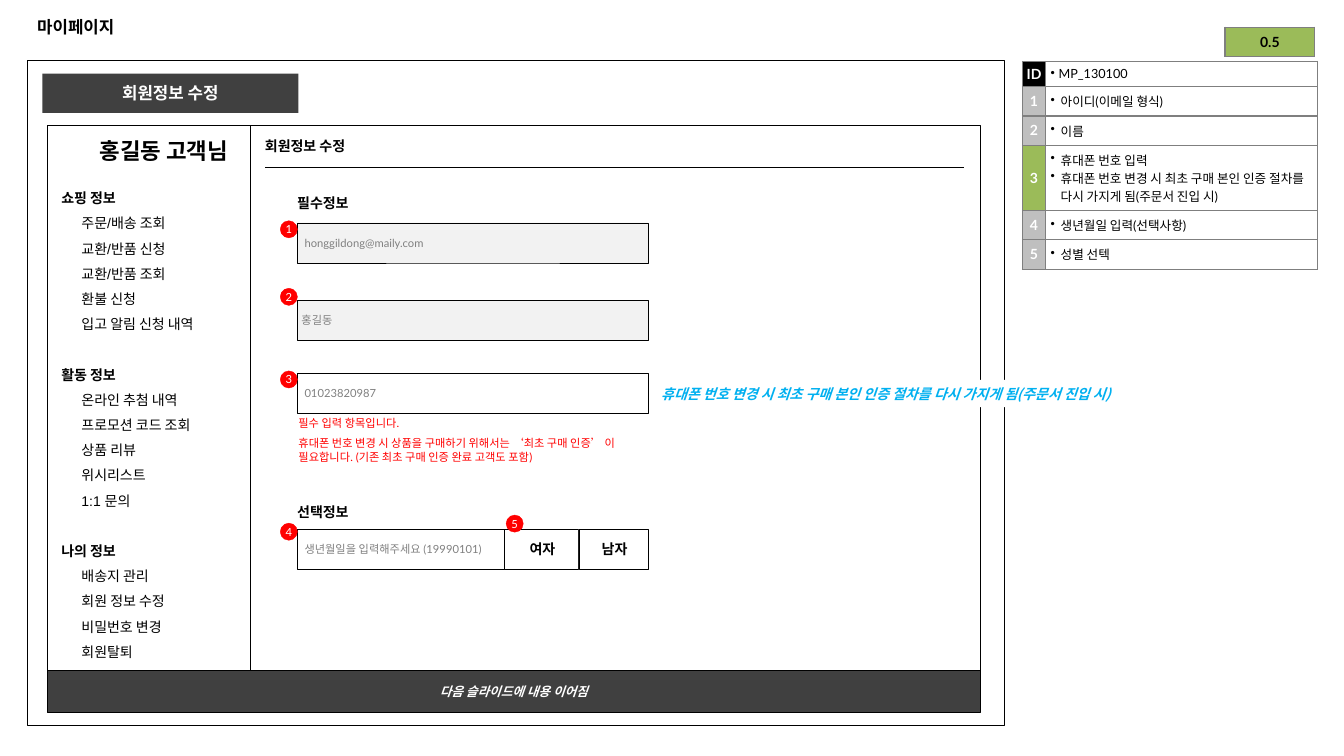
import dataclasses

import lxml.etree
import pptx
import pptx.dml.color
import pptx.enum.shapes
import pptx.enum.text
import pptx.oxml.ns
import pptx.util

SHAPE = pptx.enum.shapes.MSO_SHAPE
ANCHOR = pptx.enum.text.MSO_ANCHOR
ALIGN = pptx.enum.text.PP_ALIGN
qn = pptx.oxml.ns.qn


@dataclasses.dataclass(frozen=True)
class Theme:
    black: str = "000000"
    white: str = "FFFFFF"
    dark: str = "404040"
    border: str = "7F7F7F"
    hint: str = "808080"
    number: str = "BFBFBF"
    locked: str = "F2F2F2"
    red: str = "FF0000"
    green: str = "9BBB59"
    blue: str = "00B0F0"
    sans: str = "Arial"
    latin: str = "Lato"
    korean: str = "Noto Sans CJK KR"
    greeting: float = 16
    title: float = 12
    body: float = 10
    note: float = 9
    small: float = 8
    leading: float = 18
    hairline: float = 0.25
    rule: float = 0.75
    grid: float = 1


THEME = Theme()
SIDES = ("margin_left", "margin_top", "margin_right", "margin_bottom")


def px(length):
    return pptx.util.Emu(length * 9144)


def rgb(value):
    return pptx.dml.color.RGBColor.from_string(value)


def apply(target, formats):
    for name, value in formats.items():
        setattr(target, name, value)


def write(paragraph, text, size, color=THEME.black, font=THEME.latin, bold=False,
          italic=False, **layout):
    apply(paragraph, layout)
    run = paragraph.add_run()
    run.text = text
    run.font.color.rgb = rgb(color)
    apply(run.font, dict(size=pptx.util.Pt(size), name=font, bold=bold, italic=italic))
    east_asian = lxml.etree.SubElement(run._r.get_or_add_rPr(), qn("a:ea"))
    east_asian.set("typeface", THEME.korean)


def set_frame(frame, insets=(10, 5, 10, 5), anchor=ANCHOR.MIDDLE, wrap=True):
    apply(frame, dict(zip(SIDES, map(px, insets))))
    apply(frame, dict(vertical_anchor=anchor, word_wrap=wrap))


def add_label(slide, box, text, size, anchor=ANCHOR.TOP, insets=(10, 5, 10, 5),
              wrap=True, **style):
    label = slide.shapes.add_textbox(*map(px, box))
    set_frame(label.text_frame, insets, anchor, wrap)
    write(label.text_frame.paragraphs[0], text, size, **style)


def add_block(slide, box, fill=None, line=None, weight=THEME.hairline, kind=SHAPE.RECTANGLE,
              text="", insets=(4, 4, 4, 4), size=THEME.small, **style):
    block = slide.shapes.add_shape(kind, *map(px, box))
    block.shadow.inherit = False
    for area, color in ((block.fill, fill), (block.line.fill, line)):
        if color:
            area.solid()
            area.fore_color.rgb = rgb(color)
        else:
            area.background()
    if line:
        block.line.width = pptx.util.Pt(weight)
    if text:
        set_frame(block.text_frame, insets)
        write(block.text_frame.paragraphs[0], text, size, **{"alignment": ALIGN.LEFT, **style})


def add_grid(slide, box, columns, rows):
    grid = slide.shapes.add_table(len(rows), len(columns), *map(px, box)).table
    apply(grid, dict(first_row=False, horz_banding=False))
    for tracks, lengths, side in ((grid.columns, columns, "width"), (grid.rows, rows, "height")):
        for track, length in zip(tracks, lengths):
            setattr(track, side, px(length))
    return grid


def set_cell(cell, fill, inset):
    cell.fill.solid()
    cell.fill.fore_color.rgb = rgb(fill)
    apply(cell, dict.fromkeys(SIDES, px(inset)))
    cell.vertical_anchor = ANCHOR.MIDDLE
    properties = cell._tc.get_or_add_tcPr()
    for position, edge in enumerate(("lnL", "lnR", "lnT", "lnB")):
        border = lxml.etree.Element(qn("a:" + edge), w=str(pptx.util.Pt(THEME.grid)))
        solid = lxml.etree.SubElement(border, qn("a:solidFill"))
        lxml.etree.SubElement(solid, qn("a:srgbClr"), val=THEME.border)
        properties.insert(position, border)


def add_heading_cell(cell, text, fill, color):
    set_cell(cell, fill, 0)
    write(cell.text_frame.paragraphs[0], text, THEME.body, color, bold=True,
          alignment=ALIGN.CENTER)


def add_bullet(paragraph, text, hang):
    properties = paragraph._p.get_or_add_pPr()
    properties.set("marL", str(px(hang)))
    properties.set("indent", str(px(-hang)))
    lxml.etree.SubElement(properties, qn("a:buChar"), char="•")
    write(paragraph, text, THEME.note)


def add_version(slide, box):
    grid = add_grid(slide, box, [box[2]], [box[3]])
    add_heading_cell(grid.cell(0, 0), "0.5", THEME.green, THEME.black)


def add_descriptions(slide, box):
    rows = [
        ("ID", THEME.black, 25, 8, ["MP_130100"]),
        ("1", THEME.number, 29, 10, ["아이디(이메일 형식)"]),
        ("2", THEME.number, 29, 10, ["이름"]),
        ("3", THEME.green, 65, 10, ["휴대폰 번호 입력", PHONE_NOTICE]),
        ("4", THEME.number, 29, 10, ["생년월일 입력(선택사항)"]),
        ("5", THEME.number, 29, 10, ["성별 선텍"]),
    ]
    grid = add_grid(slide, box, [23, box[2] - 23], [row[2] for row in rows])
    for index, (number, fill, _, hang, details) in enumerate(rows):
        add_heading_cell(grid.cell(index, 0), number, fill, THEME.white)
        description = grid.cell(index, 1)
        set_cell(description, THEME.white, 5)
        for order, detail in enumerate(details):
            frame = description.text_frame
            add_bullet(frame.add_paragraph() if order else frame.paragraphs[0], detail, hang)


def add_sidebar(slide, box):
    x, y, w, h = box
    add_block(slide, box, THEME.white, THEME.black)
    leading = pptx.util.Pt(THEME.leading)
    add_label(slide, (x + 42, y + 9, 172, 33), "홍길동 고객님", THEME.greeting,
              font=THEME.sans, bold=True, line_spacing=leading)
    menu = slide.shapes.add_textbox(*map(px, (x + 4, y + 51, w - 5, 473)))
    set_frame(menu.text_frame, anchor=ANCHOR.TOP)
    groups = {
        "쇼핑 정보": ["주문/배송 조회", "교환/반품 신청", "교환/반품 조회", "환불 신청",
                  "입고 알림 신청 내역"],
        "활동 정보": ["온라인 추첨 내역", "프로모션 코드 조회", "상품 리뷰", "위시리스트",
                  "1:1 문의"],
        "나의 정보": ["배송지 관리", "회원 정보 수정", "비밀번호 변경", "회원탈퇴"],
    }
    for order, (group, entries) in enumerate(groups.items()):
        heading = menu.text_frame.add_paragraph() if order else menu.text_frame.paragraphs[0]
        if order:
            heading.space_before = leading
        write(heading, group, THEME.body, font=THEME.sans, bold=True, line_spacing=leading)
        for entry in entries:
            item = menu.text_frame.add_paragraph()
            item._p.get_or_add_pPr().set("marL", str(px(20)))
            write(item, entry, THEME.body, font=THEME.sans, line_spacing=leading)


def add_form(slide, box):
    x, y, w, h = box
    add_block(slide, box, THEME.white, THEME.black)
    add_label(slide, (x + 5, y + 4, 197, 33), "회원정보 수정", THEME.body, ANCHOR.MIDDLE,
              font=THEME.sans, bold=True)
    divider = slide.shapes.add_connector(
        pptx.enum.shapes.MSO_CONNECTOR.STRAIGHT,
        *map(px, (x + 15, y + 42, x + w - 16, y + 42)))
    divider.line.color.rgb = rgb(THEME.black)
    divider.line.width = pptx.util.Pt(THEME.rule)
    lxml.etree.SubElement(divider._element.spPr, qn("a:effectLst"))

    left = x + 47
    for section, top in (("필수정보", 64), ("선택정보", 371)):
        add_label(slide, (left - 10, y + top, 76, 27), section, THEME.body, wrap=False,
                  font=THEME.korean, bold=True)
    hint = dict(color=THEME.hint)
    choice = dict(size=THEME.body, bold=True, alignment=ALIGN.CENTER)
    fields = [
        (0, 97, 348, "honggildong@maily.com", THEME.locked, 7, hint, (-17, -2)),
        (0, 174, 348, "홍길동", THEME.locked, 4, hint, (-17, -12)),
        (0, 246, 348, "01023820987", THEME.white, 7, hint, (-17, -2)),
        (0, 401, 205, "생년월일을 입력해주세요 (19990101)", THEME.white, 7, hint, (-17, -6)),
        (205, 401, 74, "여자", THEME.white, 6, choice, (2, -14)),
        (279, 401, 69, "남자", THEME.white, 6, choice, None),
    ]
    for dx, dy, width, text, fill, inset, style, _ in fields:
        add_block(slide, (left + dx, y + dy, width, 40), fill, THEME.black, text=text,
                  insets=(inset, 4, 4, 4), **style)
    for number, (dx, dy, *_, offset) in enumerate(fields[:5], 1):
        add_block(slide, (left + dx + offset[0], y + dy + offset[1], 17, 17), THEME.red,
                  THEME.red, kind=SHAPE.OVAL, text=str(number), insets=(0, 0, 0, 0),
                  color=THEME.white, alignment=ALIGN.CENTER)
    warnings = [
        (285, 144, "필수 입력 항목입니다."),
        (305, 359, "휴대폰 번호 변경 시 상품을 구매하기 위해서는 ‘최초 구매 인증’ 이 "
                   "필요합니다. (기존 최초 구매 인증 완료 고객도 포함)"),
    ]
    for top, width, warning in warnings:
        add_label(slide, (left - 3, y + top, width, 28), warning, THEME.small,
                  insets=(4, 4, 4, 4), color=THEME.red)
    add_block(slide, (left + 351, y + 253, 538, 27), THEME.white, text=PHONE_NOTICE,
              insets=(10, 5, 10, 5), size=THEME.body, color=THEME.blue, font=THEME.korean,
              bold=True, italic=True)


def add_page(slide, box):
    x, y, w, h = box
    add_block(slide, box, line=THEME.black, weight=THEME.rule)
    add_block(slide, (x + 15, y + 13, 254, 39), THEME.dark, text="회원정보 수정",
              size=THEME.title, color=THEME.white, font=THEME.sans, bold=True,
              alignment=ALIGN.CENTER)
    add_sidebar(slide, (x + 20, y + 64, 202, 580))
    add_form(slide, (x + 221, y + 64, 724, 580))
    add_block(slide, (x + 20, y + 605, 925, 42), THEME.dark, THEME.black,
              text="다음 슬라이드에 내용 이어짐", size=THEME.note, color=THEME.white,
              bold=True, italic=True, alignment=ALIGN.CENTER)


PHONE_NOTICE = "휴대폰 번호 변경 시 최초 구매 본인 인증 절차를 다시 가지게 됨(주문서 진입 시)"


def main():
    deck = pptx.Presentation()
    apply(deck, dict(slide_width=px(1333), slide_height=px(750)))
    slide = deck.slides.add_slide(deck.slide_layouts[6])
    add_label(slide, (27, 7, 1279, 39), "마이페이지", THEME.title, ANCHOR.MIDDLE,
              font=THEME.sans, bold=True)
    add_version(slide, (1215, 27, 89, 29))
    add_descriptions(slide, (1014, 61, 293, 206))
    add_page(slide, (27, 60, 969, 660))
    deck.save("out.pptx")


if __name__ == "__main__":
    main()
